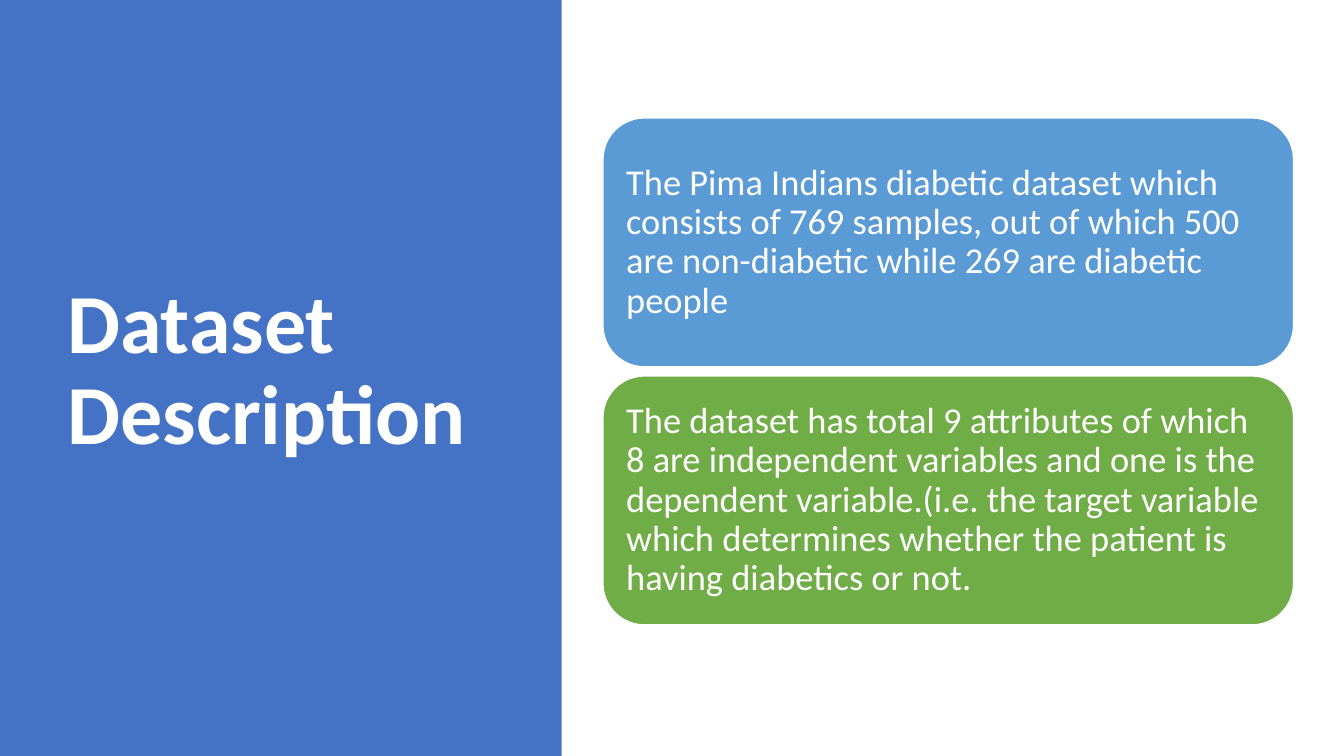
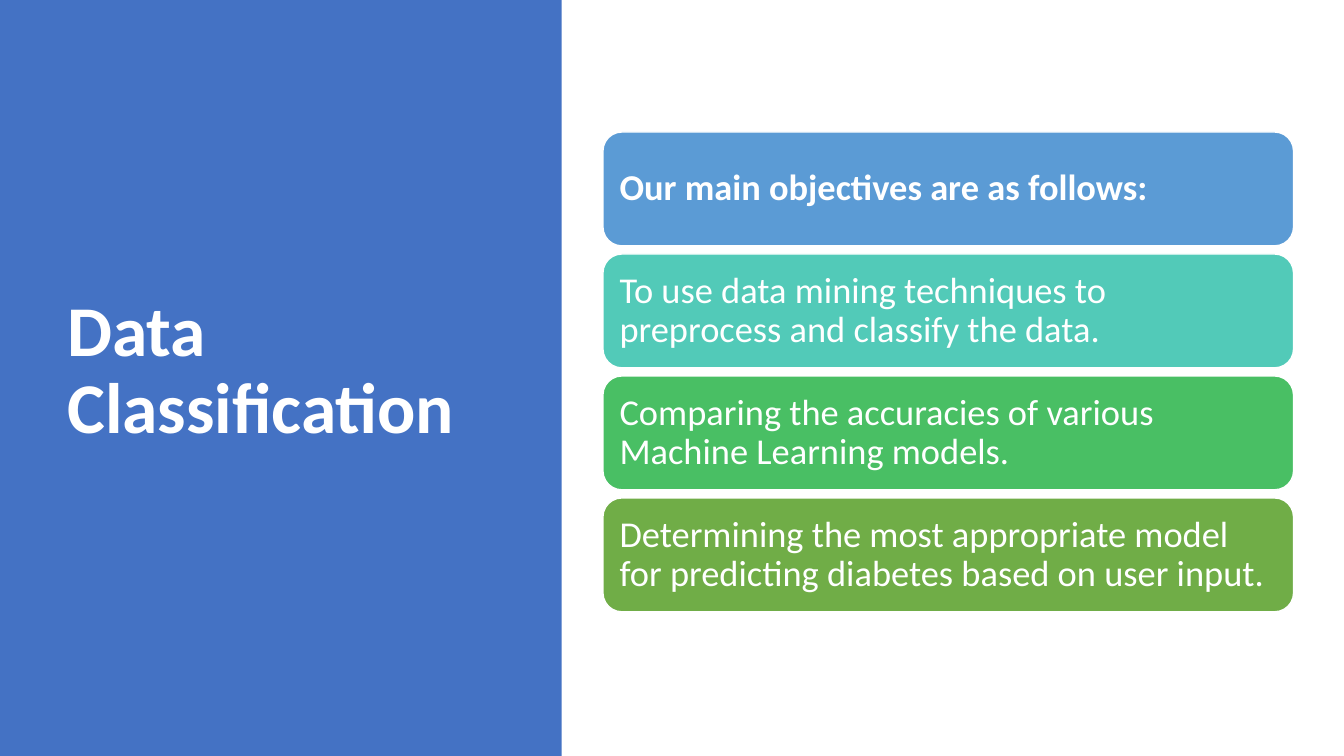
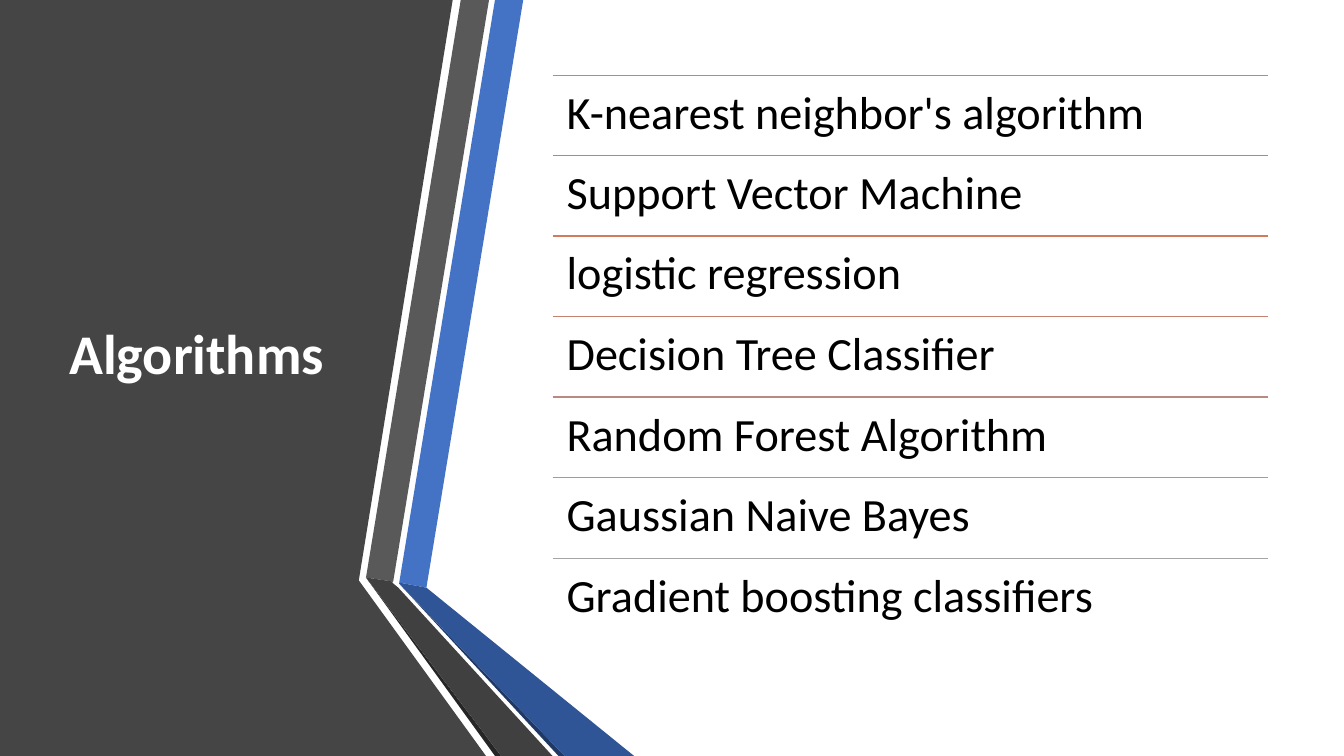
from lxml.etree import SubElement
from pptx import Presentation
from pptx.dml.color import RGBColor
from pptx.enum.shapes import MSO_CONNECTOR as Connector, MSO_SHAPE as Shape
from pptx.enum.text import MSO_ANCHOR as Anchor, PP_ALIGN as Align
from pptx.oxml.ns import qn
from pptx.util import Pt

SCALE = 9144
WIDTH, HEIGHT = 1333, 750
FONT = "Calibri"
WHITE, BLACK, BLUE = "FFFFFF", "000000", "4472C4"
SKY, TEAL, MINT, GREEN = "5B9BD5", "52CAB8", "49BF64", "70AD47"

DATASET_CARDS = [
    ("The Pima Indians diabetic dataset which consists of 769 samples, out of which "
     "500 are non-diabetic while 269 are diabetic people", SKY),
    ("The dataset has total 9 attributes of which 8 are independent variables and one is "
     "the dependent variable.(i.e. the target variable which determines whether the "
     "patient is having diabetics or not.", GREEN),
]
OBJECTIVE_CARDS = [
    ("Our main objectives are as follows: ", SKY),
    ("To use data mining techniques to preprocess and classify the data.", TEAL),
    ("Comparing the accuracies of various Machine Learning models.", MINT),
    ("Determining the most appropriate model for predicting diabetes based on user input.",
     GREEN),
]
ALGORITHMS = [
    ("K-nearest neighbor's algorithm ", "ED7D31"),
    ("Support Vector Machine ", "DE7A47"),
    ("logistic regression", "D17B5C"),
    ("Decision Tree Classifier", "C48170"),
    ("Random Forest Algorithm", "B98A82"),
    ("Gaussian Naive Bayes ", "AE9694"),
    ("Gradient boosting classifiers ", "A5A5A5"),
]
RIBBONS = [
    ("454545", [(0, 0), (449, 0), (356, 575), (356, 576), (482, 750), (0, 750)]),
    (BLUE, [(396, 578), (423, 583), (519, 0), (491, 0)]),
    ("595959", [(485, 0), (457, 0), (363, 573), (390, 577)]),
    ("262626", [(363, 573), (491, 750), (497, 750)]),
    ("203864", [(396, 579), (554, 750), (560, 750)]),
    ("2F5597", [(396, 579), (560, 750), (629, 750), (423, 583), (396, 578)]),
    ("404040", [(548, 750), (395, 583), (389, 578), (390, 577), (363, 573), (497, 750)]),
]


def px(*lengths):
    """Turn px lengths into a list of EMU."""
    return [length * SCALE for length in lengths]


def color(code):
    """Return the colour of a hex string."""
    return RGBColor.from_string(code)


def paint(shape, fill, line=None):
    """Give a shape a flat fill, an optional outline and no shadow."""
    shape.shadow.inherit = False
    shape.fill.solid()
    shape.fill.fore_color.rgb = color(fill)
    if line:
        shape.line.color.rgb = color(line)
        shape.line.width = Pt(1)
    else:
        shape.line.fill.background()


def write(shape, text, size, ink=WHITE, bold=False, anchor=Anchor.MIDDLE, inset=(10, 5)):
    """Write one formatted paragraph into a shape."""
    frame = shape.text_frame
    frame.word_wrap = True
    frame.vertical_anchor = anchor
    frame.margin_left = frame.margin_right = inset[0] * SCALE
    frame.margin_top = frame.margin_bottom = inset[1] * SCALE
    para = frame.paragraphs[0]
    para.alignment = Align.LEFT
    para.line_spacing = 0.9
    span = para.add_run()
    span.text = text
    span.font.name = FONT
    span.font.size = Pt(size)
    span.font.bold = bold
    span.font.color.rgb = color(ink)


def add_text(page, at, text, size, **style):
    """Add a text box."""
    write(page.shapes.add_textbox(*px(*at)), text, size, **style)


def add_outline(page, fill, points):
    """Add a closed polygon."""
    builder = page.shapes.build_freeform(*points[0], scale=SCALE)
    builder.add_line_segments(points[1:], close=True)
    paint(builder.convert_to_shape(), fill)


def add_rule(page, left, right, top, ink):
    """Add a thin horizontal line."""
    rule = page.shapes.add_connector(Connector.STRAIGHT, *px(left, top, right, top))
    rule.line.color.rgb = color(ink)
    rule.line.width = Pt(1)
    SubElement(rule._element.spPr, qn("a:effectLst"))


def add_page(deck):
    """Add a blank slide."""
    return deck.slides.add_slide(deck.slide_layouts[6])


def add_card_page(deck, title, size, cards, top, height, pitch, bold_first=False):
    """Add a slide with a blue title panel and a stack of cards."""
    page = add_page(deck)
    panel = page.shapes.add_shape(Shape.RECTANGLE, *px(0, 0, 557, HEIGHT))
    paint(panel, BLUE)
    add_text(page, (57, 68, 416, 602), title, size, bold=True)
    for index, (text, fill) in enumerate(cards):
        place = px(598, top + index * pitch, 685, height)
        card = page.shapes.add_shape(Shape.ROUNDED_RECTANGLE, *place)
        paint(card, fill, line=WHITE)
        write(card, text, 26, bold=bold_first and index == 0, inset=(11, 11))


def add_algorithm_page(deck):
    """Add the slide with angled ribbons and a ruled list."""
    page = add_page(deck)
    for fill, points in RIBBONS:
        add_outline(page, fill, points)
    add_text(page, (59, 75, 304, 558), "Algorithms", 40, bold=True)
    left, width, first, last = 548, 710, 75, 554
    for index, (text, ink) in enumerate(ALGORITHMS):
        top = first + (last - first) * index // (len(ALGORITHMS) - 1)
        add_rule(page, left, left + width, top, ink)
        add_text(page, (left, top, width, 80), text, 33, ink=BLACK,
                 anchor=Anchor.TOP, inset=(14, 14))


def main():
    """Build and save the deck."""
    deck = Presentation()
    deck.slide_width, deck.slide_height = px(WIDTH, HEIGHT)
    add_card_page(deck, "Dataset Description", 60, DATASET_CARDS,
                  top=117, height=247, pitch=256)
    add_card_page(deck, "Data Classification ", 51, OBJECTIVE_CARDS,
                  top=131, height=113, pitch=121, bold_first=True)
    add_algorithm_page(deck)
    deck.save("out.pptx")


if __name__ == "__main__":
    main()
